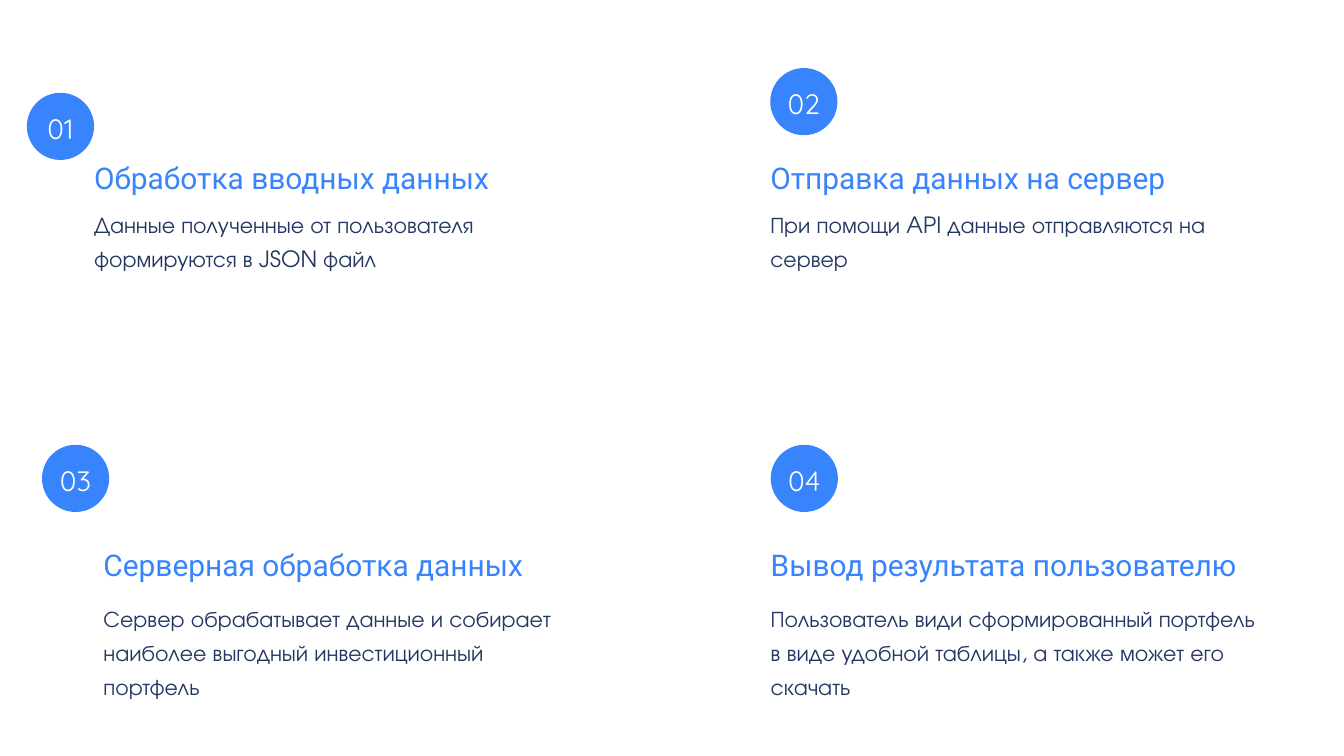
from pptx import Presentation
from pptx.dml.color import RGBColor
from pptx.enum.shapes import MSO_SHAPE
from pptx.enum.text import MSO_AUTO_SIZE, PP_ALIGN
from pptx.util import Pt

BLUE = RGBColor(0x38, 0x84, 0xFD)
NAVY = RGBColor(0x24, 0x37, 0x62)
WHITE = RGBColor(0xFF, 0xFF, 0xFF)

BADGE = 72
LABEL_W, LABEL_H = 55.4, 39.6
HEADING_H = 38.4

# badge left, badge top, text left, heading top, body top, text width, body height, heading, body
STEPS = [
    (28.8, 99.4, 100.8, 171.4, 218.9, 504, 70, "Обработка вводных данных",
     "Данные полученные от пользователя формируются в JSON файл"),
    (825.3, 72.9, 825.3, 171.4, 218.9, 504, 70, "Отправка данных на сервер",
     "При помощи API данные отправляются на сервер"),
    (45, 476.6, 110.9, 586.1, 641.5, 504, 106, "Серверная обработка данных",
     "Сервер обрабатывает данные и собирает наиболее выгодный инвестиционный портфель"),
    (825.8, 476.6, 825.8, 586.1, 641.5, 533.5, 106, "Вывод результата пользователю",
     "Пользователь види сформированный портфель в виде удобной таблицы, "
     "а также может его скачать"),
]


class Deck:
    def __init__(self, width, height):
        self.prs = Presentation()
        self.prs.slide_width, self.prs.slide_height = Pt(width), Pt(height)
        self.s = None

    def add_slide(self):
        self.s = self.prs.slides.add_slide(self.prs.slide_layouts[6])

    def text(self, x, y, w, h, text, font, size, color, spacing, align=PP_ALIGN.LEFT):
        tf = self.s.shapes.add_textbox(Pt(x), Pt(y), Pt(w), Pt(h)).text_frame
        tf.margin_left = tf.margin_top = tf.margin_right = tf.margin_bottom = 0
        tf.word_wrap = True
        tf.auto_size = MSO_AUTO_SIZE.SHAPE_TO_FIT_TEXT
        p = tf.paragraphs[0]
        p.text = text
        p.alignment = align
        p.line_spacing = Pt(spacing)
        p.font.name, p.font.size = font, Pt(size)
        p.font.color.rgb = color

    def badge(self, x, y, number):
        sp = self.s.shapes.add_shape(MSO_SHAPE.OVAL, Pt(x), Pt(y), Pt(BADGE), Pt(BADGE))
        sp.shadow.inherit = False
        sp.fill.solid()
        sp.fill.fore_color.rgb = BLUE
        sp.line.fill.background()
        self.text(x + (BADGE - LABEL_W) / 2, y + 14, LABEL_W, LABEL_H, f"{number:02}",
                  "Quicksand", 30, WHITE, 42, PP_ALIGN.CENTER)

    def heading(self, x, y, w, text):
        self.text(x, y, w, HEADING_H, text, "Roboto", 32, BLUE, 38.4)

    def body(self, x, y, w, h, text):
        self.text(x, y, w, h, text, "TeX Gyre Adventor", 24, NAVY, 36)


def main():
    deck = Deck(1440, 810)
    deck.add_slide()
    for number, step in enumerate(STEPS, 1):
        badge_x, badge_y, x, heading_y, body_y, w, body_h, heading, body = step
        deck.badge(badge_x, badge_y, number)
        deck.heading(x, heading_y, w, heading)
        deck.body(x, body_y, w, body_h, body)
    deck.prs.save("out.pptx")


if __name__ == "__main__":
    main()
